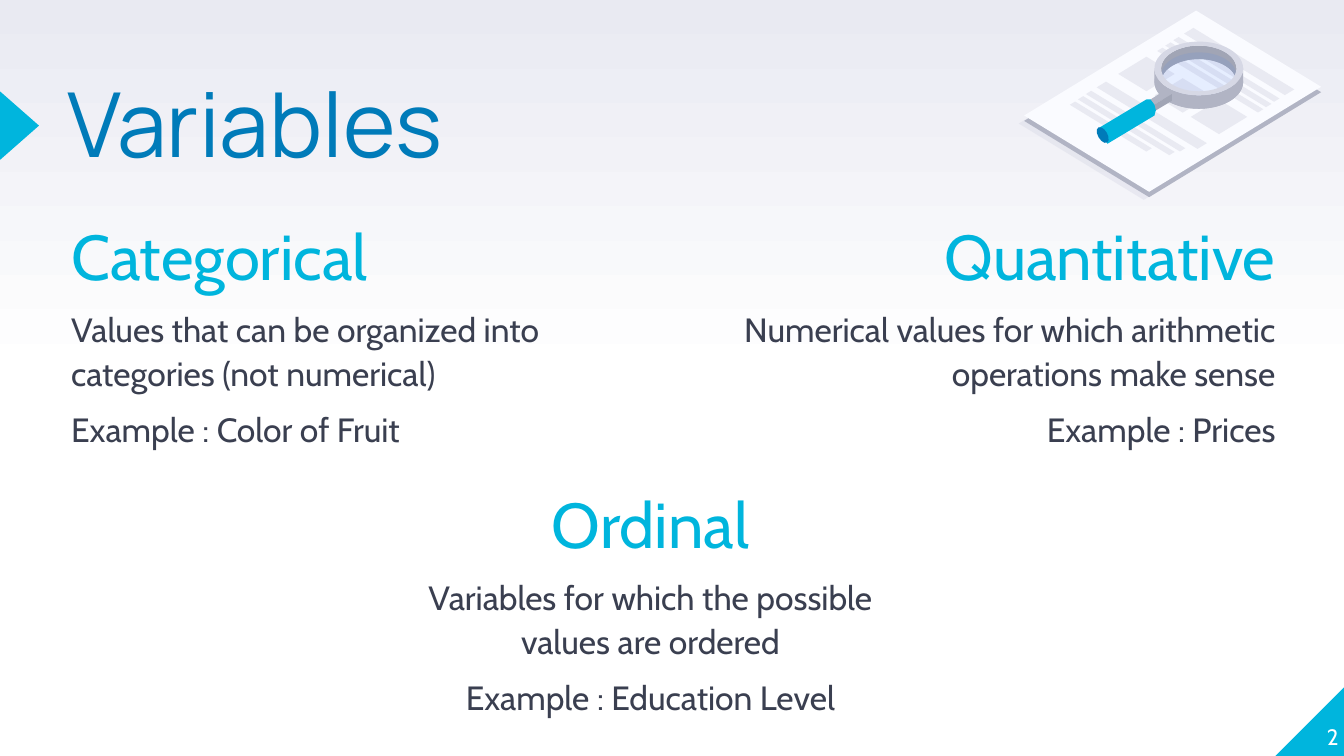
from copy import deepcopy
from math import cos, radians, sin

from lxml import etree
from pptx import Presentation
from pptx.dml.color import RGBColor
from pptx.enum.shapes import MSO_SHAPE
from pptx.enum.text import MSO_ANCHOR, PP_ALIGN
from pptx.oxml.ns import qn
from pptx.util import Inches, Pt

LEFT, CENTER, RIGHT = PP_ALIGN.LEFT, PP_ALIGN.CENTER, PP_ALIGN.RIGHT
TOP, MIDDLE, BOTTOM = MSO_ANCHOR.TOP, MSO_ANCHOR.MIDDLE, MSO_ANCHOR.BOTTOM
OVAL = MSO_SHAPE.OVAL
TRIANGLE, CORNER = MSO_SHAPE.ISOSCELES_TRIANGLE, MSO_SHAPE.RIGHT_TRIANGLE

# The page is a grid of 10 columns; rows are as high as columns are wide.
CELL = Inches(1)
COLUMNS, ROWS = 10, 5.625
SLOPE = 0.61  # rise per column of the tilted sheet

COLORS = {
    "white": "FFFFFF", "haze": "E9EAF2", "cyan": "00B5DD", "blue": "007BB9",
    "ink": "3A3F50", "paper": "FAFBFF", "silver": "D6D8E5", "steel": "B1B4C4",
    "slate": "A1A5B5", "lens": "3E7EFF",
}
TITLE = {"size": Pt(48), "name": "Manrope"}
HEADING = {"size": Pt(34), "name": "Cabin"}
BODY = {"size": Pt(18), "name": "Cabin"}
NUMBER = {"size": Pt(12), "name": "Cabin"}

LENS_X, RIM_Y, RIM_DEPTH = 8.92, 0.51, 0.1
RIM, HOLE = (0.33, 0.2), (0.28, 0.17)

KINDS = [
    ((0.53, 1.56, 4.47, 2.02), LEFT, TOP, "Categorical",
     "Values that can be organized into categories (not numerical)",
     "Example : Color of Fruit"),
    ((3.01, 3.57, 3.66, 1.75), CENTER, MIDDLE, "Ordinal",
     "Variables for which the possible values are ordered",
     "Example : Education Level"),
    ((5.02, 1.56, 4.47, 2.02), RIGHT, TOP, "Quantitative",
     "Numerical values for which arithmetic operations make sense",
     "Example : Prices"),
]


def rgb(color):
    return RGBColor.from_string(COLORS[color])


def cells(*lengths):
    return [round(length * CELL) for length in lengths]


def paint(shape, color, opacity=100):
    shape.shadow.inherit = False
    shape.line.fill.background()
    shape.fill.solid()
    shape.fill.fore_color.rgb = rgb(color)
    if opacity < 100:
        tone = shape.element.spPr.find(".//" + qn("a:srgbClr"))
        etree.SubElement(tone, qn("a:alpha")).set("val", str(opacity * 1000))


def add_preset(shapes, kind, place, color, rotation=0):
    shape = shapes.add_shape(kind, *cells(*place))
    shape.rotation = rotation
    paint(shape, color)


def add_outline(shapes, contours, color, opacity=100):
    first, *others = [[cells(*point) for point in contour] for contour in contours]
    builder = shapes.build_freeform(*first[0], scale=1.0)
    builder.add_line_segments(first[1:], close=True)
    for contour in others:
        builder.move_to(*contour[0])
        builder.add_line_segments(contour[1:], close=True)
    paint(builder.convert_to_shape(), color, opacity)


def add_tile(shapes, x, y, across, along, color, opacity=100):
    """Draw a tilted tile from its left corner: across goes up, along goes down."""
    rise, fall = across * SLOPE, along * SLOPE
    corners = [(x, y), (x + across, y - rise),
               (x + across + along, y - rise + fall), (x + along, y + fall)]
    add_outline(shapes, [corners], color, opacity)


def arc(y, radii, start=0, end=360):
    """Points of an ellipse about the lens axis, clockwise from the right."""
    steps = 48
    angles = [radians(start + (end - start) * i / steps) for i in range(steps + 1)]
    return [(LENS_X + radii[0] * cos(a), y + radii[1] * sin(a)) for a in angles]


def add_wall(shapes, radii, start, end, color):
    """Fill between the same arc on the upper and the lower rim."""
    outline = arc(RIM_Y, radii, start, end) + arc(RIM_Y + RIM_DEPTH, radii, end, start)
    add_outline(shapes, [outline], color)


def add_sheet(shapes):
    add_tile(shapes, 7.58, 0.92, 1.29, 0.93, "silver", 40)
    add_tile(shapes, 7.62, 0.9, 1.28, 0.93, "steel")
    add_tile(shapes, 7.62, 0.86, 1.28, 0.93, "paper")
    for x, y, lengths in [(8.73, 0.3, (0.75, 0.75, 0.75)),
                          (8.08, 0.7, (0.7, 0.68, 0.57))]:
        add_tile(shapes, x + 0.08, y - 0.05, 0.07, 0.75, "haze")
        for i, length in enumerate(lengths):
            add_tile(shapes, x - 0.06 * i, y + 0.04 * i, 0.04, length, "haze")
    for i in range(3):
        add_tile(shapes, 8.32 + 0.27 * i, 0.55 + 0.16 * i, 0.21, 0.21, "haze")


def add_magnifier(shapes):
    low = RIM_Y + RIM_DEPTH
    add_outline(shapes, [arc(low, RIM), arc(low, HOLE)], "steel")
    add_wall(shapes, HOLE, 180, 360, "slate")
    add_outline(shapes, [arc(0.56, HOLE)], "lens", 10)
    add_wall(shapes, RIM, 0, 180, "steel")
    add_outline(shapes, [arc(RIM_Y, RIM), arc(RIM_Y, HOLE)], "silver")
    add_outline(shapes, [[(8.72, 0.7), (8.57, 0.79), (8.53, 0.76), (8.67, 0.67)]], "steel")
    add_outline(shapes, [[(8.72, 0.75), (8.57, 0.84), (8.57, 0.79), (8.72, 0.7)]], "slate")
    add_outline(shapes, [[(8.18, 0.95), (8.53, 0.74), (8.56, 0.74), (8.59, 0.78),
                          (8.6, 0.82), (8.59, 0.86), (8.24, 1.07)]], "cyan")
    add_preset(shapes, OVAL, (8.17, 0.94, 0.07, 0.13), "blue", 330)


def add_text(page, place, lines, align=LEFT, anchor=TOP, spacing=1.0, gap=0):
    """Write lines of (text, font format, color), with a gap in points between."""
    box = page.shapes.add_textbox(*cells(*place))
    frame = box.text_frame
    layout = {"word_wrap": True, "vertical_anchor": anchor, "margin_left": 0,
              "margin_right": 0, "margin_top": 0, "margin_bottom": 0}
    for name, value in layout.items():
        setattr(frame, name, value)
    for i, (text, style, color) in enumerate(lines):
        para = frame.paragraphs[0] if i == 0 else frame.add_paragraph()
        para.alignment = align
        para.line_spacing = spacing
        para.space_before = Pt(gap if i else 0)
        span = para.add_run()
        span.text = text
        for name, value in style.items():
            setattr(span.font, name, value)
        span.font.color.rgb = rgb(color)


def fill_background(page):
    fill = page.background.fill
    fill.gradient()
    fill.gradient_angle = 90
    stops = page.element.find(".//" + qn("a:gsLst"))
    stops.insert(1, deepcopy(stops[0]))
    ramp = [(0, "white"), (0.5, "white"), (1, "haze")]
    for stop, (position, color) in zip(fill.gradient_stops, ramp):
        stop.position = position
        stop.color.rgb = rgb(color)


def main():
    deck = Presentation()
    deck.slide_width, deck.slide_height = cells(COLUMNS, ROWS)
    page = deck.slides.add_slide(deck.slide_layouts[6])
    fill_background(page)

    add_preset(page.shapes, CORNER, (COLUMNS - 0.51, ROWS - 0.51, 0.51, 0.51), "cyan", 270)
    add_preset(page.shapes, TRIANGLE, (-0.11, 0.79, 0.51, 0.29), "cyan", 90)
    add_text(page, (0.5, 0.66, 6.17, 1.18), [("Variables", TITLE, "blue")], spacing=0.8)
    add_text(page, (9.46, 5.07, 0.5, 0.51), [("2", NUMBER, "white")], RIGHT, BOTTOM)

    drawing = page.shapes.add_group_shape().shapes
    add_sheet(drawing)
    add_magnifier(drawing)

    for place, align, anchor, heading, meaning, example in KINDS:
        lines = [(heading, HEADING, "cyan"), (meaning, BODY, "ink"), (example, BODY, "ink")]
        add_text(page, place, lines, align, anchor, spacing=1.1, gap=6)
    deck.save("out.pptx")


if __name__ == "__main__":
    main()
